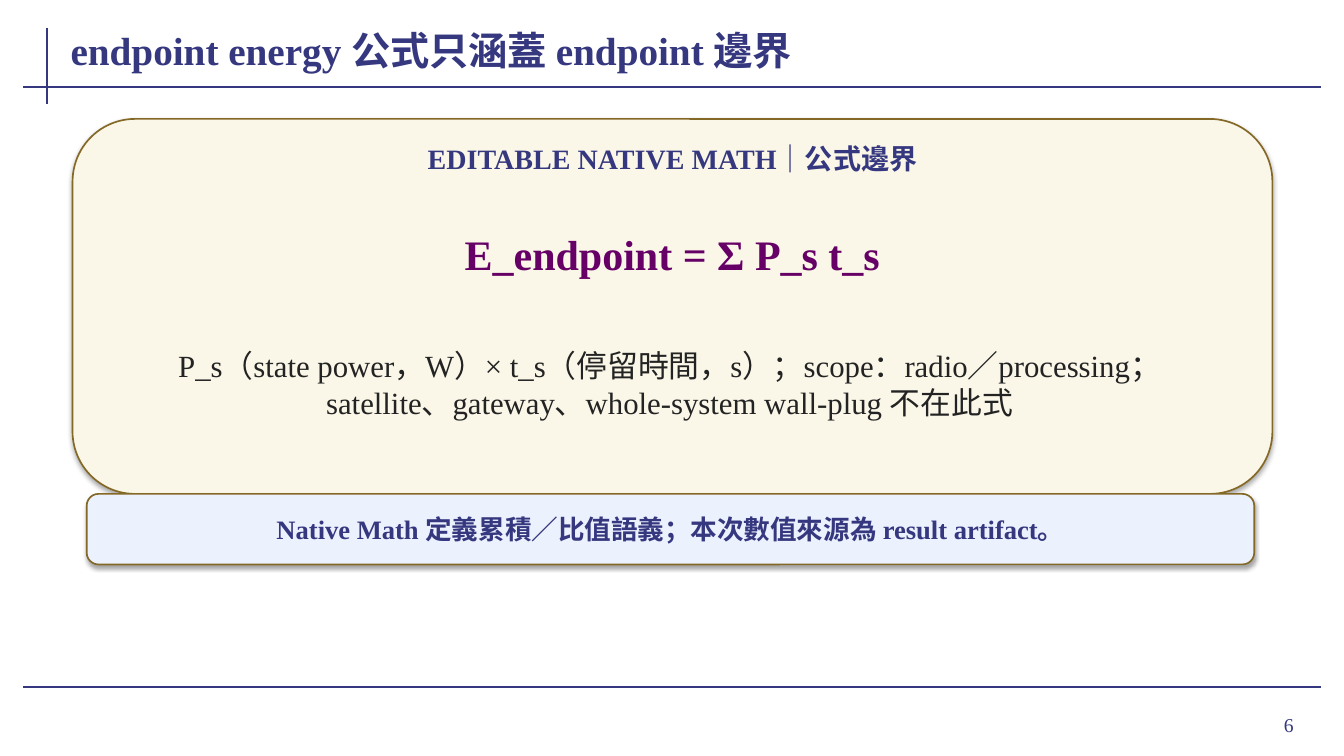
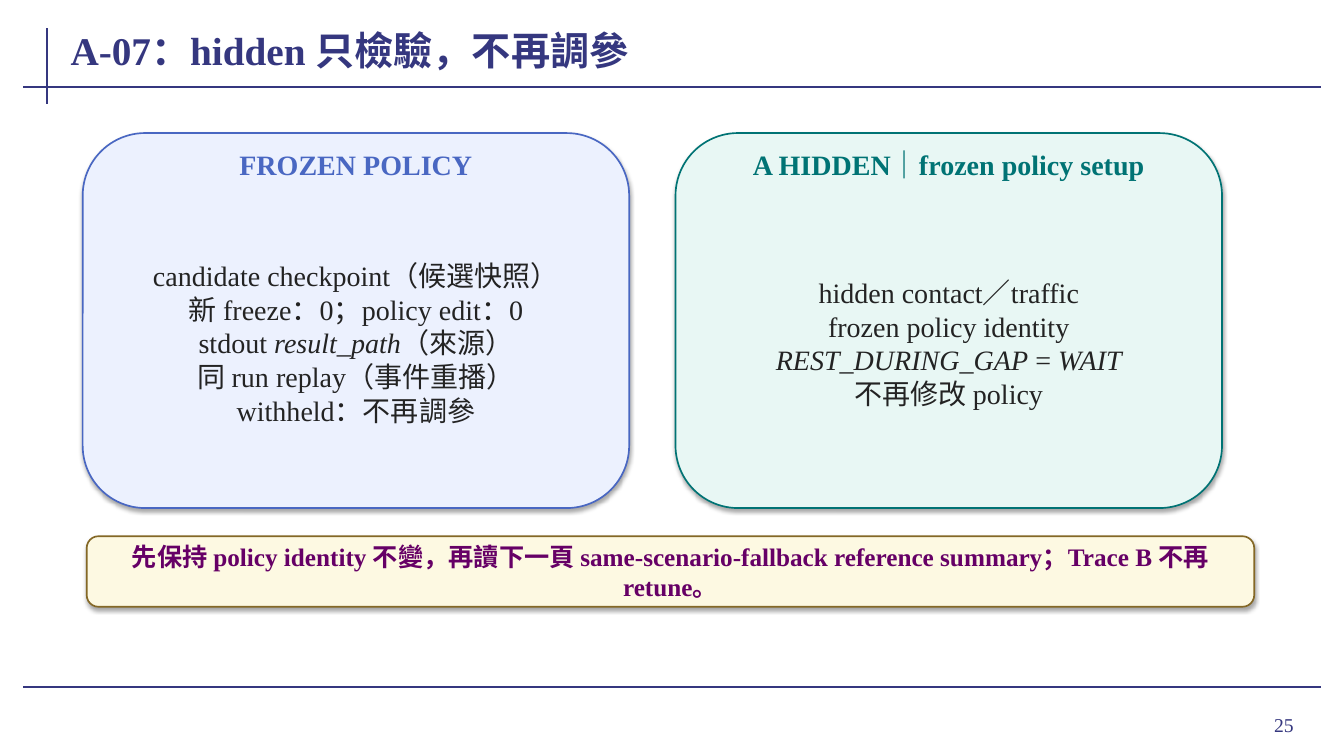
"""Build two slides on an endpoint energy formula and a frozen policy."""
from lxml import etree
from pptx import Presentation
from pptx.dml.color import RGBColor
from pptx.enum.shapes import MSO_CONNECTOR, MSO_SHAPE
from pptx.enum.text import MSO_ANCHOR, PP_ALIGN
from pptx.oxml.ns import qn
from pptx.util import Inches, Pt

STRAIGHT = MSO_CONNECTOR.STRAIGHT
ROUNDED = MSO_SHAPE.ROUNDED_RECTANGLE
MIDDLE = MSO_ANCHOR.MIDDLE
LEFT, CENTER, RIGHT = PP_ALIGN.LEFT, PP_ALIGN.CENTER, PP_ALIGN.RIGHT

FONT = "Times New Roman"
NAVY, PLUM, INK, GOLD = "35377F", "660066", "232323", "846826"
BLUE, TEAL = "4967C2", "007374"
PALE_BLUE, PALE_TEAL, CREAM, YELLOW = "ECF1FE", "E8F7F4", "FAF7E8", "FDF9E2"

WIDTH, HEIGHT = 13.33, 7.5
CARD_HEIGHT = 3.72
RULES = [(0.47, 0.28, 0.47, 1.03), (0.23, 0.86, 13.1, 0.86), (0.23, 6.82, 13.1, 6.82)]
TIGHT, ROOMY = (0.02, 0), (0.08, 0.04)

FORMULA = {
    "title": "endpoint energy 公式只涵蓋 endpoint 邊界",
    "number": "6",
    "parts": [
        ((1.02, 1.42, 11.3, 0.3), "EDITABLE NATIVE MATH｜公式邊界", 20, NAVY, True),
        ((1, 2.1, 11.34, 0.84), "E_endpoint = Σ P_s t_s", 30, PLUM, True),
        ((1.08, 3.38, 11.12, 0.86),
         "P_s（state power，W）× t_s（停留時間，s）；scope：radio／processing；"
         "satellite、gateway、whole-system wall-plug 不在此式", 22, INK, False),
    ],
    "takeaway": (4.9, "Native Math 定義累積／比值語義；本次數值來源為 result artifact。", 19, NAVY, PALE_BLUE),
}

POLICY = {
    "title": "A-07：hidden 只檢驗，不再調參",
    "number": "25",
    "cards": [
        ("FROZEN POLICY", BLUE, PALE_BLUE, [
            "candidate checkpoint（候選快照）",
            "新 freeze：0；policy edit：0",
            "stdout *result_path*（來源）",
            "同 run replay（事件重播）",
            "withheld：不再調參",
        ]),
        ("A HIDDEN｜frozen policy setup", TEAL, PALE_TEAL, [
            "hidden contact／traffic",
            "frozen policy identity",
            "*REST_DURING_GAP* = *WAIT*",
            "不再修改 policy",
        ]),
    ],
    "takeaway": (5.32, "先保持 policy identity 不變，再讀下一頁 same-scenario-fallback reference summary；"
                       "Trace B 不再 retune。", 18, PLUM, YELLOW),
}


def color(value):
    return RGBColor.from_string(value)


def inches(box):
    return [Inches(length) for length in box]


def write(shape, lines, size, ink, bold=False, align=CENTER, insets=ROOMY):
    """Fill a shape with lines, setting the spans between asterisks in italics."""
    frame = shape.text_frame
    frame.word_wrap = True
    frame.vertical_anchor = MIDDLE
    frame.margin_left = frame.margin_right = Inches(insets[0])
    frame.margin_top = frame.margin_bottom = Inches(insets[1])
    for row, line in enumerate(lines):
        paragraph = frame.add_paragraph() if row else frame.paragraphs[0]
        paragraph.alignment = align
        for part, words in enumerate(line.split("*")):
            if not words:
                continue
            run = paragraph.add_run()
            run.text = words
            run.font.name = FONT
            run.font.size = Pt(size)
            run.font.bold = bold
            run.font.italic = part % 2 == 1
            run.font.color.rgb = color(ink)


def add_text(slide, box, lines, *style, **options):
    write(slide.shapes.add_textbox(*inches(box)), lines, *style, **options)


def add_panel(slide, box, fill, edge):
    """Add a rounded panel with a soft shadow straight below it."""
    panel = slide.shapes.add_shape(ROUNDED, *inches(box))
    panel.fill.solid()
    panel.fill.fore_color.rgb = color(fill)
    panel.line.color.rgb = color(edge)
    panel.line.width = Pt(1.2)
    panel.shadow.inherit = False
    effects = panel._element.spPr.find(qn("a:effectLst"))
    shadow = etree.SubElement(effects, qn("a:outerShdw"), blurRad=str(Pt(3.1)),
                              dist=str(Pt(1.8)), dir="5400000", rotWithShape="0")
    tone = etree.SubElement(shadow, qn("a:srgbClr"), val="000000")
    etree.SubElement(tone, qn("a:alpha"), val="35000")
    return panel


def add_base(deck, content):
    """Add a slide with its rules, title and page number."""
    slide = deck.slides.add_slide(deck.slide_layouts[6])
    for ends in RULES:
        rule = slide.shapes.add_connector(STRAIGHT, *inches(ends))
        rule.line.color.rgb = color(NAVY)
        rule.line.width = Pt(1.5)
        etree.SubElement(rule._element.spPr, qn("a:effectLst"))
    add_text(slide, (0.68, 0.18, 11.95, 0.62), [content["title"]], 28, NAVY, True,
             align=LEFT, insets=TIGHT)
    add_text(slide, (11.96, 6.93, 0.97, 0.52), [content["number"]], 14, NAVY,
             align=RIGHT, insets=(0.1, 0.05))
    return slide


def add_takeaway(slide, top, words, size, ink, fill):
    banner = add_panel(slide, (0.86, top, 11.58, 0.7), fill, GOLD)
    write(banner, [words], size, ink, True, insets=(0.17, 0))


def build_formula(deck):
    slide = add_base(deck, FORMULA)
    add_panel(slide, (0.72, 1.18, 11.9, CARD_HEIGHT), CREAM, GOLD)
    for box, words, size, ink, bold in FORMULA["parts"]:
        add_text(slide, box, [words], size, ink, bold)
    add_takeaway(slide, *FORMULA["takeaway"])


def build_policy(deck):
    slide = add_base(deck, POLICY)
    left, top, width, gap = 0.82, 1.32, 5.42, 0.46
    for column, (heading, accent, fill, lines) in enumerate(POLICY["cards"]):
        x = left + column * (width + gap)
        add_panel(slide, (x, top, width, CARD_HEIGHT), fill, accent)
        add_text(slide, (x + 0.18, top + 0.16, width - 0.36, 0.3), [heading], 20, accent, True,
                 insets=TIGHT)
        add_text(slide, (x + 0.2, top + 0.58, width - 0.4, 3), lines, 20, INK)
    add_takeaway(slide, *POLICY["takeaway"])


def main():
    deck = Presentation()
    deck.slide_width, deck.slide_height = inches((WIDTH, HEIGHT))
    build_formula(deck)
    build_policy(deck)
    deck.save("out.pptx")


if __name__ == "__main__":
    main()
